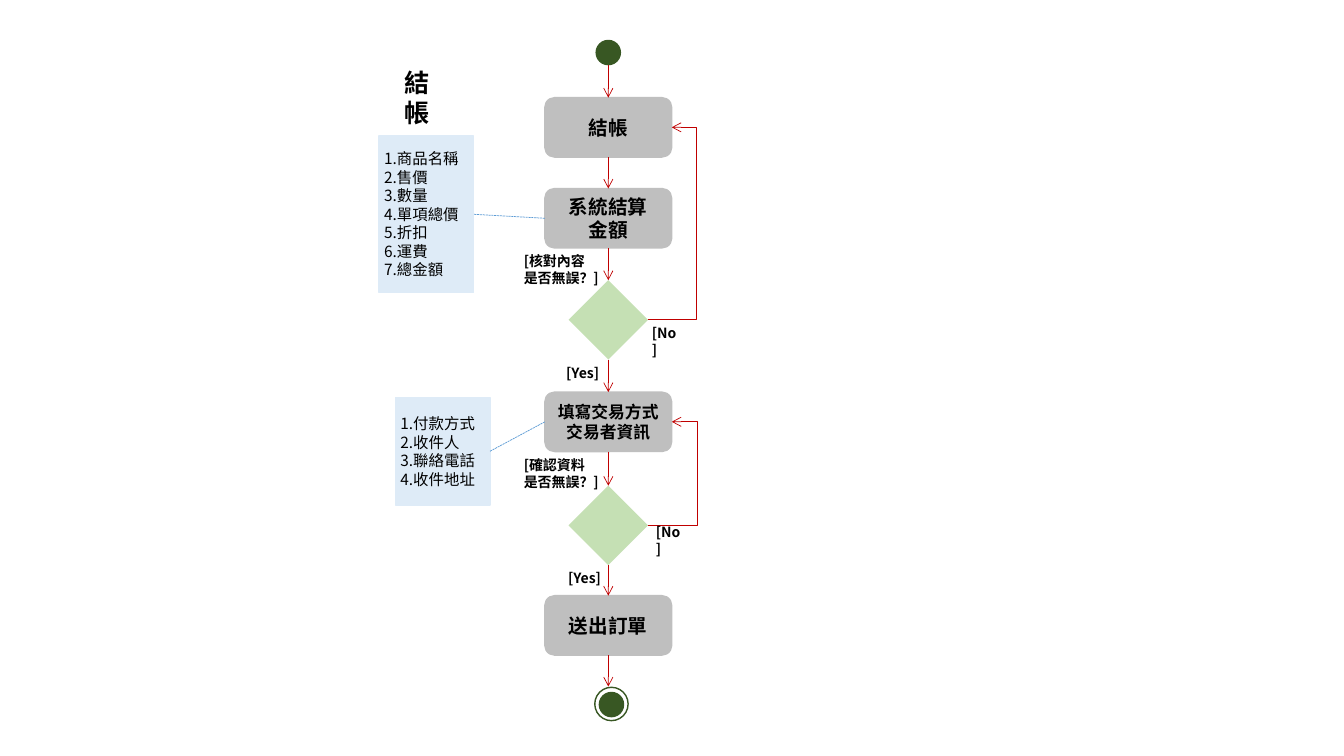
from lxml import etree
from pptx import Presentation
from pptx import util as u
from pptx.dml.color import RGBColor
from pptx.enum import dml, shapes, text
from pptx.oxml.ns import qn

COLORS = {
    "text": "000000", "step": "BFBFBF", "decision": "C5E0B4",
    "terminal": "385723", "note": "DEEBF7", "flow": "C00000", "link": "5B9BD5",
}
FONT = "Noto Sans CJK SC"
AXIS = 15.33  # centre line of the flow, cm
TOP, LEFT, BOTTOM, RIGHT = range(4)


class FlowSlide:
    """Holds the style and the current slide."""

    def __init__(self, prs):
        self.s = prs.slides.add_slide(prs.slide_layouts[3])

    def rgb(self, name):
        return RGBColor.from_string(COLORS[name])

    def place(self, sp, x, y, w, h):
        sp.left, sp.top, sp.width, sp.height = (u.Cm(v) for v in (x, y, w, h))

    def set_text(self, sp, words, size, bold=True, align=text.PP_ALIGN.LEFT,
                 anchor=text.MSO_ANCHOR.TOP):
        tf = sp.text_frame
        tf.text = words
        tf.word_wrap = True
        tf.auto_size = text.MSO_AUTO_SIZE.NONE
        tf.vertical_anchor = anchor
        for p in tf.paragraphs:
            p.alignment = align
            p.line_spacing = u.Pt(size * 1.2)
            p.space_before = u.Pt(0)
            for r in p.runs:
                r.font.name, r.font.size, r.font.bold = FONT, u.Pt(size), bold
                r.font.color.rgb = self.rgb("text")
                ea = etree.SubElement(r.font._element, qn("a:ea"))
                ea.set("typeface", FONT)

    def paint(self, sp, fill, line):
        if fill:
            sp.fill.solid()
            sp.fill.fore_color.rgb = self.rgb(fill)
        else:
            sp.fill.background()
        sp.line.color.rgb = self.rgb(line)
        sp.line.width = u.Pt(1)

    def title(self, words, x, y, w, h):
        sp = self.s.shapes.title
        self.place(sp, x, y, w, h)
        self.set_text(sp, words, 18)

    def note(self, idx, lines, x, y, w, h):
        sp = self.s.placeholders[idx]
        self.place(sp, x, y, w, h)
        self.paint(sp, "note", "note")
        self.set_text(sp, "\n".join(lines), 11, False, anchor=text.MSO_ANCHOR.MIDDLE)
        tf = sp.text_frame
        tf.margin_left = tf.margin_right = u.Cm(0.13)
        tf.margin_top = tf.margin_bottom = u.Cm(0.13)
        for p in tf.paragraphs:
            pPr = p._p.get_or_add_pPr()
            pPr.set("marL", "0")
            pPr.set("indent", "0")
            etree.SubElement(pPr, qn("a:buNone"))
        return sp

    def shape(self, kind, cx, y, w, h, fill, line):
        sp = self.s.shapes.add_shape(
            kind, u.Cm(cx - w / 2), u.Cm(y), u.Cm(w), u.Cm(h))
        sp.shadow.inherit = False
        self.paint(sp, fill, line)
        return sp

    def step(self, words, y, size=14):
        sp = self.shape(shapes.MSO_SHAPE.ROUNDED_RECTANGLE,
                        AXIS, y, 3.2, 1.5, "step", "step")
        self.set_text(sp, words, size, align=text.PP_ALIGN.CENTER,
                      anchor=text.MSO_ANCHOR.MIDDLE)
        return sp

    def decision(self, y):
        sp = self.shape(shapes.MSO_SHAPE.DIAMOND,
                        AXIS, y, 2, 2, "decision", "decision")
        sp.line.fill.background()
        return sp

    def circle(self, cx, y, d, fill="terminal"):
        return self.shape(shapes.MSO_SHAPE.OVAL, cx, y, d, d, fill, "terminal")

    def label(self, words, x, y, w, h):
        sp = self.s.shapes.add_textbox(u.Cm(x), u.Cm(y), u.Cm(w), u.Cm(h))
        self.set_text(sp, words, 10)

    def connector(self, start, end, color, kind=shapes.MSO_CONNECTOR.STRAIGHT):
        """Each end is a (shape, side) pair or an (x, y) point in cm."""
        c = self.s.shapes.add_connector(kind, 0, 0, 0, 0)
        if isinstance(start[0], (int, float)):
            c.begin_x, c.begin_y = u.Cm(start[0]), u.Cm(start[1])
        else:
            c.begin_connect(*start)
        if isinstance(end[0], (int, float)):
            c.end_x, c.end_y = u.Cm(end[0]), u.Cm(end[1])
        else:
            c.end_connect(*end)
        c.line.color.rgb = self.rgb(color)
        c.line.width = u.Pt(0.5)
        etree.SubElement(c._element.spPr, qn("a:effectLst"))
        return c

    def arrow(self, start, end, kind=shapes.MSO_CONNECTOR.STRAIGHT):
        c = self.connector(start, end, "flow", kind)
        ln = c._element.spPr.find(qn("a:ln"))
        etree.SubElement(ln, qn("a:tailEnd")).set("type", "arrow")
        return c

    def loop_back(self, decision, step, turn_x):
        c = self.arrow((decision, RIGHT), (step, RIGHT), shapes.MSO_CONNECTOR.ELBOW)
        ratio = (u.Cm(turn_x) - c.begin_x) / (c.end_x - c.begin_x)
        geom = c._element.spPr.find(qn("a:prstGeom"))
        av = geom.find(qn("a:avLst"))
        if av is None:
            av = etree.SubElement(geom, qn("a:avLst"))
        gd = etree.SubElement(av, qn("a:gd"))
        gd.set("name", "adj1")
        gd.set("fmla", f"val {round(ratio * 100000)}")

    def dashed_link(self, step, note):
        c = self.connector((step, LEFT), (note, RIGHT), "link")
        c.line.dash_style = dml.MSO_LINE.SQUARE_DOT


def main():
    prs = Presentation()
    prs.slide_width, prs.slide_height = u.Cm(33.87), u.Cm(19.05)
    f = FlowSlide(prs)

    # Title and notes
    f.title("結帳", 9.93, 1.57, 1.63, 0.97)
    order_note = f.note(1, ["1.商品名稱", "2.售價", "3.數量", "4.單項總價",
                            "5.折扣", "6.運費", "7.總金額"], 9.55, 3.43, 2.39, 3.94)
    payer_note = f.note(2, ["1.付款方式", "2.收件人", "3.聯絡電話", "4.收件地址"],
                        9.96, 10.01, 2.39, 2.72)

    # Steps, decisions, start and end
    check_ok, data_ok = f.decision(7.06), f.decision(12.24)
    f.circle(AXIS, 1.02, 0.61)
    f.circle(15.41, 17.32, 0.84, None)
    f.circle(15.41, 17.45, 0.61)
    checkout = f.step("結帳", 2.46)
    payer = f.step("填寫交易方式\n交易者資訊", 9.88, 12)
    total = f.step("系統結算\n金額", 4.75)
    send = f.step("送出訂單", 15.01)

    # Arrows down the flow
    f.arrow((AXIS, 1.65), (checkout, TOP))
    flow = [checkout, total, check_ok, payer, data_ok, send]
    for upper, lower in zip(flow, flow[1:]):
        f.arrow((upper, BOTTOM), (lower, TOP))
    f.arrow((send, BOTTOM), (AXIS, 17.3))

    # Loops back and dashed links
    f.loop_back(check_ok, checkout, 17.56)
    f.loop_back(data_ok, payer, 17.58)
    f.dashed_link(total, order_note)
    f.dashed_link(payer, payer_note)

    # Labels
    for words, x, y, w, h in [
        ("[No]", 16.18, 8.05, 1.22, 0.69),
        ("[Yes]", 14.02, 9.07, 1.4, 0.69),
        ("[確認資料\n是否無誤？]", 12.95, 11.38, 2.46, 1.12),
        ("[核對內容\n是否無誤？]", 12.95, 6.25, 2.46, 1.12),
        ("[No]", 16.28, 13.08, 1.22, 0.69),
        ("[Yes]", 14.07, 14.22, 1.4, 0.69),
    ]:
        f.label(words, x, y, w, h)

    prs.save("out.pptx")


if __name__ == "__main__":
    main()
